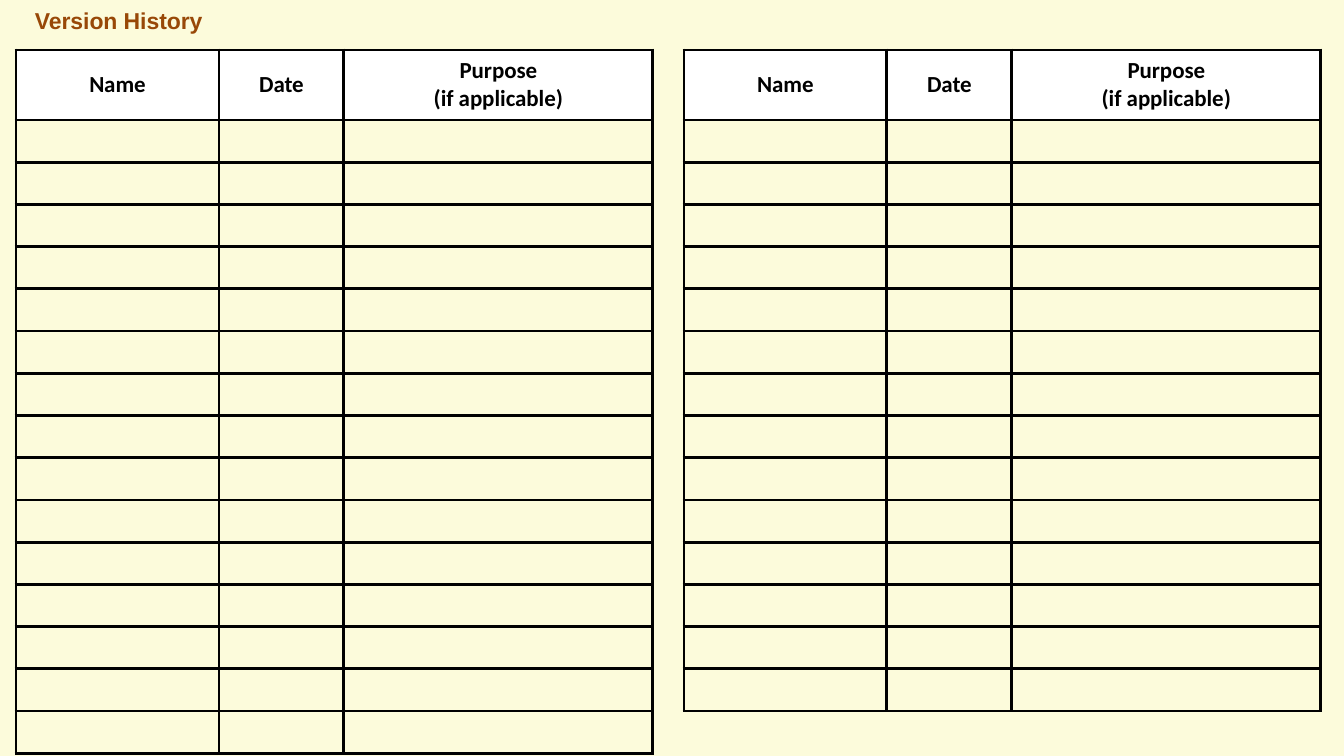
"""Build the Version History slide with two blank log tables."""
from dataclasses import dataclass

from lxml import etree
from pptx import Presentation
from pptx.dml.color import RGBColor
from pptx.enum.text import MSO_ANCHOR, PP_ALIGN
from pptx.oxml.ns import qn
from pptx.util import Pt

MIDDLE = MSO_ANCHOR.MIDDLE
TOP = MSO_ANCHOR.TOP
CENTER = PP_ALIGN.CENTER
EMU_PER_PIXEL = 914400 / 236.2


@dataclass(frozen=True)
class Theme:
    background: str = "FCFBDB"
    title: str = "984807"
    text: str = "000000"
    header: str = "FFFFFF"
    border: str = "000000"
    title_font: str = "Arial"
    table_font: str = "Calibri"
    size: int = 7
    border_width: int = 1


theme = Theme()


def px(pixels):
    return round(pixels * EMU_PER_PIXEL)


def format_run(run, font_name, color):
    for name, value in {"name": font_name, "size": Pt(theme.size), "bold": True}.items():
        setattr(run.font, name, value)
    run.font.color.rgb = RGBColor.from_string(color)


presentation = Presentation()
presentation.slide_width = px(1344)
presentation.slide_height = px(756)
slide = presentation.slides.add_slide(presentation.slide_layouts[6])
slide.background.fill.solid()
slide.background.fill.fore_color.rgb = RGBColor.from_string(theme.background)

title = slide.shapes.add_textbox(0, 0, px(683), px(50))
title_format = {
    "margin_left": px(35), "margin_right": px(35),
    "margin_top": px(7), "margin_bottom": px(7),
    "word_wrap": True, "vertical_anchor": TOP,
}
for name, value in title_format.items():
    setattr(title.text_frame, name, value)
title_run = title.text_frame.paragraphs[0].add_run()
title_run.text = "Version History"
format_run(title_run, theme.title_font, theme.title)

HEADINGS = ["Name", "Date", "Purpose\v(if applicable)"]
COLUMN_WIDTHS = [203, 125, 309]
TABLE_TOP = 50
HEADER_HEIGHT = 70
BODY_ROW_HEIGHT = px(634) // 15
CELL_FORMAT = {
    "margin_left": px(7), "margin_right": px(7),
    "margin_top": px(7), "margin_bottom": px(7),
    "vertical_anchor": MIDDLE,
}

for table_left, body_rows in [(16, 15), (684, 14)]:
    frame = slide.shapes.add_table(
        body_rows + 1, len(HEADINGS), px(table_left), px(TABLE_TOP),
        px(sum(COLUMN_WIDTHS)), px(HEADER_HEIGHT) + body_rows * BODY_ROW_HEIGHT,
    )
    table = frame.table
    table.first_row = False
    table.horz_banding = False
    for column, width in zip(table.columns, COLUMN_WIDTHS):
        column.width = px(width)

    for row_index, row in enumerate(table.rows):
        is_header = row_index == 0
        row.height = px(HEADER_HEIGHT) if is_header else BODY_ROW_HEIGHT
        for cell, heading in zip(row.cells, HEADINGS):
            for name, value in CELL_FORMAT.items():
                setattr(cell, name, value)
            paragraph = cell.text_frame.paragraphs[0]
            if is_header:
                paragraph.text = heading
                paragraph.alignment = CENTER
                for run in paragraph.runs:
                    format_run(run, theme.table_font, theme.text)
            else:
                end = etree.SubElement(paragraph._p, qn("a:endParaRPr"), sz=str(theme.size * 100))
                etree.SubElement(end, qn("a:latin"), typeface=theme.table_font)

            properties = cell._tc.get_or_add_tcPr()
            for side in ("lnL", "lnR", "lnT", "lnB"):
                line = etree.SubElement(properties, qn(f"a:{side}"), w=str(Pt(theme.border_width)))
                line_fill = etree.SubElement(line, qn("a:solidFill"))
                etree.SubElement(line_fill, qn("a:srgbClr"), val=theme.border)
            if is_header:
                cell.fill.solid()
                cell.fill.fore_color.rgb = RGBColor.from_string(theme.header)
            else:
                cell.fill.background()

presentation.save("out.pptx")
